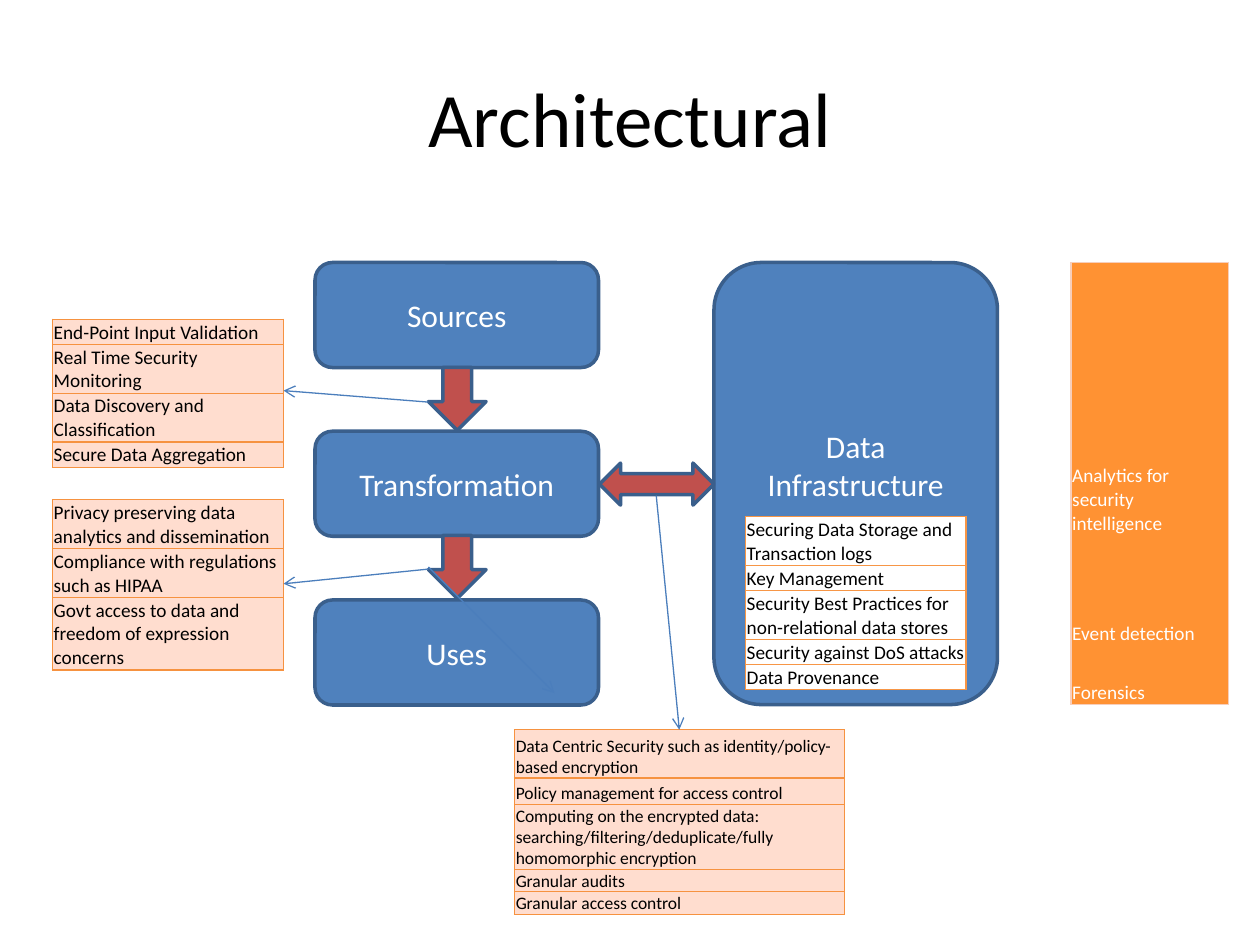
"""Build the architecture slide with its security control tables."""
from dataclasses import dataclass

from lxml.etree import SubElement
from pptx import Presentation
from pptx.dml.color import RGBColor as Rgb
from pptx.enum.shapes import MSO_CONNECTOR as Link, MSO_SHAPE as Kind
from pptx.enum.text import MSO_ANCHOR as Anchor, PP_ALIGN as Align
from pptx.oxml.ns import qn
from pptx.util import Inches, Pt


@dataclass(frozen=True)
class Theme:
    """Colours, type sizes and line widths."""
    font: str = "Calibri"
    ink: str = "000000"
    white: str = "FFFFFF"
    blue: str = "4F81BD"
    edge: str = "3A5F8C"
    red: str = "C0504D"
    wire: str = "4B7EBC"
    peach: str = "FFDDCF"
    amber: str = "F69240"
    gold: str = "F79646"
    orange: str = "FF9233"
    pale: str = "F7CEBB"
    head: int = 44
    body: int = 18
    note: int = 11
    small: int = 10


T = Theme()
SIDES = "LRTB"


def unit(num):
    """Turn grid steps, twelve to the inch, into a length."""
    return Inches(num / 12)


def box(left, top, wide, high):
    """Turn a grid box into lengths."""
    return [unit(num) for num in (left, top, wide, high)]


def write(frame, text, size, color, align=Align.LEFT):
    """Put one formatted paragraph in a text frame."""
    frame.text = text
    frame.word_wrap = True
    para = frame.paragraphs[0]
    para.alignment = align
    font = para.runs[0].font
    font.name, font.size = T.font, Pt(size)
    font.color.rgb = Rgb.from_string(color)


def add_form(slide, kind, area, fill, text="", foot=0.6):
    """Add an outlined shape, with centred text if there is any."""
    form = slide.shapes.add_shape(kind, *box(*area))
    form.shadow.inherit = False
    form.fill.solid()
    form.fill.fore_color.rgb = Rgb.from_string(fill)
    form.line.color.rgb = Rgb.from_string(T.edge)
    form.line.width = Pt(2)
    if text:
        frame = form.text_frame
        write(frame, text, T.body, T.white, Align.CENTER)
        frame.vertical_anchor = Anchor.MIDDLE
        frame.margin_bottom = unit(foot)


def add_wire(slide, start, end):
    """Add a thin line with an open arrowhead at its end."""
    wire = slide.shapes.add_connector(
        Link.STRAIGHT, *[unit(num) for num in (*start, *end)])
    wire.line.color.rgb = Rgb.from_string(T.wire)
    wire.line.width = Pt(0.75)
    SubElement(wire.line._get_or_add_ln(), qn("a:tailEnd"), type="arrow")
    SubElement(wire._element.spPr, qn("a:effectLst"))


def rule(cell, color, width, sides):
    """Draw the named cell borders and clear the others."""
    props = cell._tc.get_or_add_tcPr()
    for side in SIDES:
        line = SubElement(props, qn("a:ln" + side), w=str(Pt(width)))
        if side in sides:
            paint = SubElement(line, qn("a:solidFill"))
            SubElement(paint, qn("a:srgbClr"), val=color)
        else:
            SubElement(line, qn("a:noFill"))


def add_list(slide, area, rows, fill, edge, width=0.75,
             size=T.note, ink=T.ink, inner=True):
    """Add a one-column table from pairs of row height and text."""
    frame = slide.shapes.add_table(len(rows), 1, *box(*area))
    table = frame.table
    table.first_row = table.horz_banding = False
    last = len(rows) - 1
    for num, (high, text) in enumerate(rows):
        table.rows[num].height = unit(high)
        cell = table.cell(num, 0)
        cell.margin_left = cell.margin_right = cell.margin_top = Inches(0.01)
        cell.margin_bottom = 0
        cell.vertical_anchor = Anchor.BOTTOM
        write(cell.text_frame, text, size, ink)
        ends = "T" * (num == 0) + "B" * (num == last)
        rule(cell, edge, width, SIDES if inner else "LR" + ends)
        cell.fill.solid()
        cell.fill.fore_color.rgb = Rgb.from_string(fill)
    frame.height = unit(area[3])


def add_title(slide, text):
    """Place and format the title."""
    title = slide.shapes.title
    title.left, title.top, title.width, title.height = box(6, 3.6, 108, 15)
    write(title.text_frame, text, T.head, T.ink, Align.CENTER)
    title.text_frame.vertical_anchor = Anchor.MIDDLE


def add_flow(slide):
    """Add the blocks and the thick arrows between them."""
    for num, name in enumerate(("Sources", "Transformation", "Uses")):
        add_form(slide, Kind.ROUNDED_RECTANGLE,
                 (30, 25 + 16.07 * num, 27, 10), T.blue, name)
    add_form(slide, Kind.ROUNDED_RECTANGLE, (68, 25, 27, 42.1), T.blue,
             "Data Infrastructure", foot=4.2)
    for top in (35, 51):
        add_form(slide, Kind.DOWN_ARROW, (40.8, top, 5.5, 6), T.red)
    add_form(slide, Kind.LEFT_RIGHT_ARROW, (57.1, 44.1, 10.9, 4), T.red)


def add_notes(slide):
    """Add the tables of security controls."""
    add_list(slide, (5, 30.4, 22, 13.8), [
        (2.4, "End-Point Input Validation"),
        (2.4, "Real Time Security Monitoring"),
        (2.4, "Data Discovery and Classification"),
        (2.4, "Secure Data Aggregation")], T.peach, T.amber)
    add_list(slide, (5, 47.6, 22, 15.8), [
        (4.6, "Privacy preserving data analytics and dissemination"),
        (3.5, "Compliance with regulations such as HIPAA"),
        (5.3, "Govt access to data and freedom of expression concerns")],
        T.peach, T.amber)
    add_list(slide, (49, 69.5, 31.4, 17.3), [
        (4.6, "Data Centric Security such as identity/policy-based "
              "encryption"),
        (2.5, "Policy management for access control"),
        (6, "Computing on the encrypted data: searching/filtering/"
            "deduplicate/fully homomorphic encryption"),
        (1.7, "Granular audits"),
        (1.7, "Granular access control")], T.peach, T.amber, size=T.small)
    add_list(slide, (71, 49.2, 21, 16), [
        (4.2, "Securing Data Storage and Transaction logs"),
        (2.2, "Key Management"),
        (4.2, "Security Best Practices for non-relational data stores"),
        (2.4, "Security against DoS attacks"),
        (2.2, "Data Provenance")], T.white, T.gold, width=1)
    add_list(slide, (102, 25, 15, 42.1), [
        (26, "Analytics for security intelligence"),
        (10.5, "Event detection"),
        (5.6, "Forensics")], T.orange, T.pale, ink=T.white, inner=False)


def main():
    """Build and save the slide."""
    deck = Presentation()
    deck.slide_width, deck.slide_height = unit(120), unit(90)
    slide = deck.slides.add_slide(deck.slide_layouts[5])
    add_title(slide, "Architectural")
    add_flow(slide)
    add_notes(slide)
    for start, end in (((40.8, 38.3), (27, 37.2)),
                       ((40.8, 54), (52.8, 66)),
                       ((40.8, 54.2), (27, 55.6)),
                       ((62.5, 47.2), (64.7, 69.5))):
        add_wire(slide, start, end)
    deck.save("out.pptx")


main()
